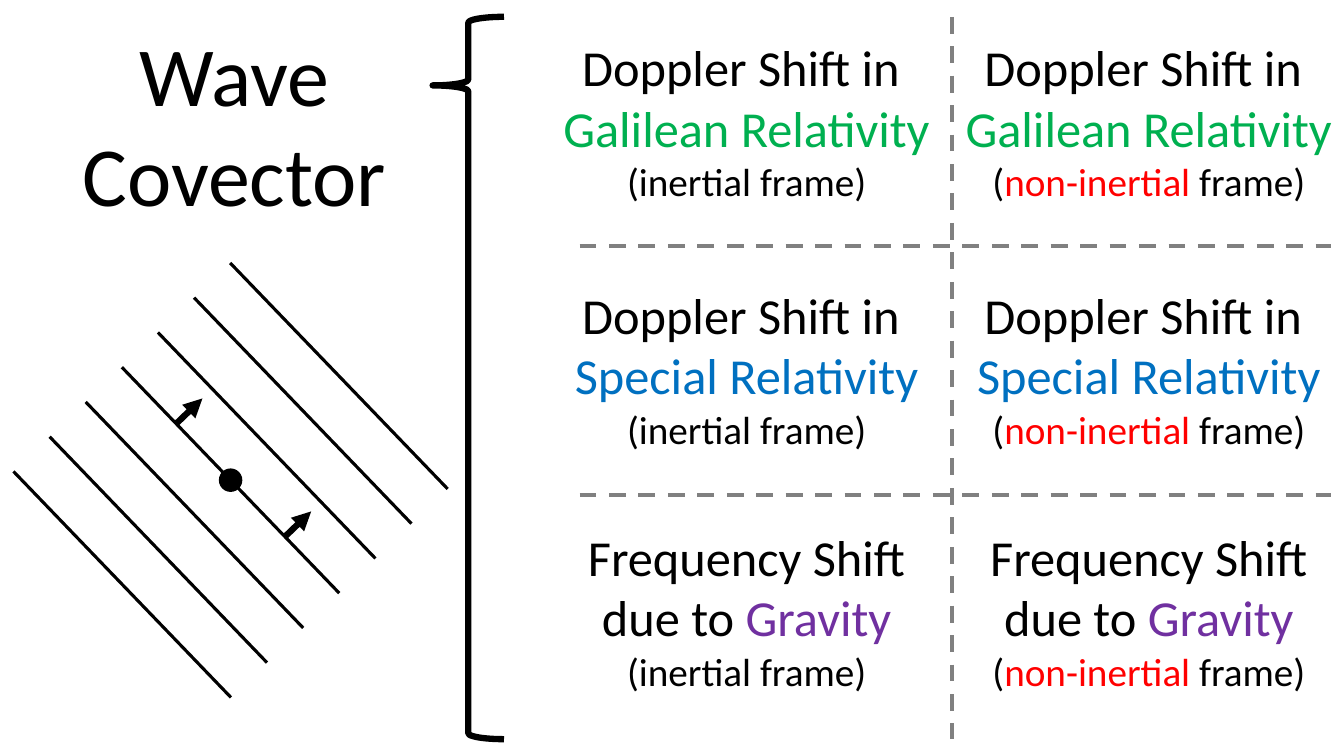
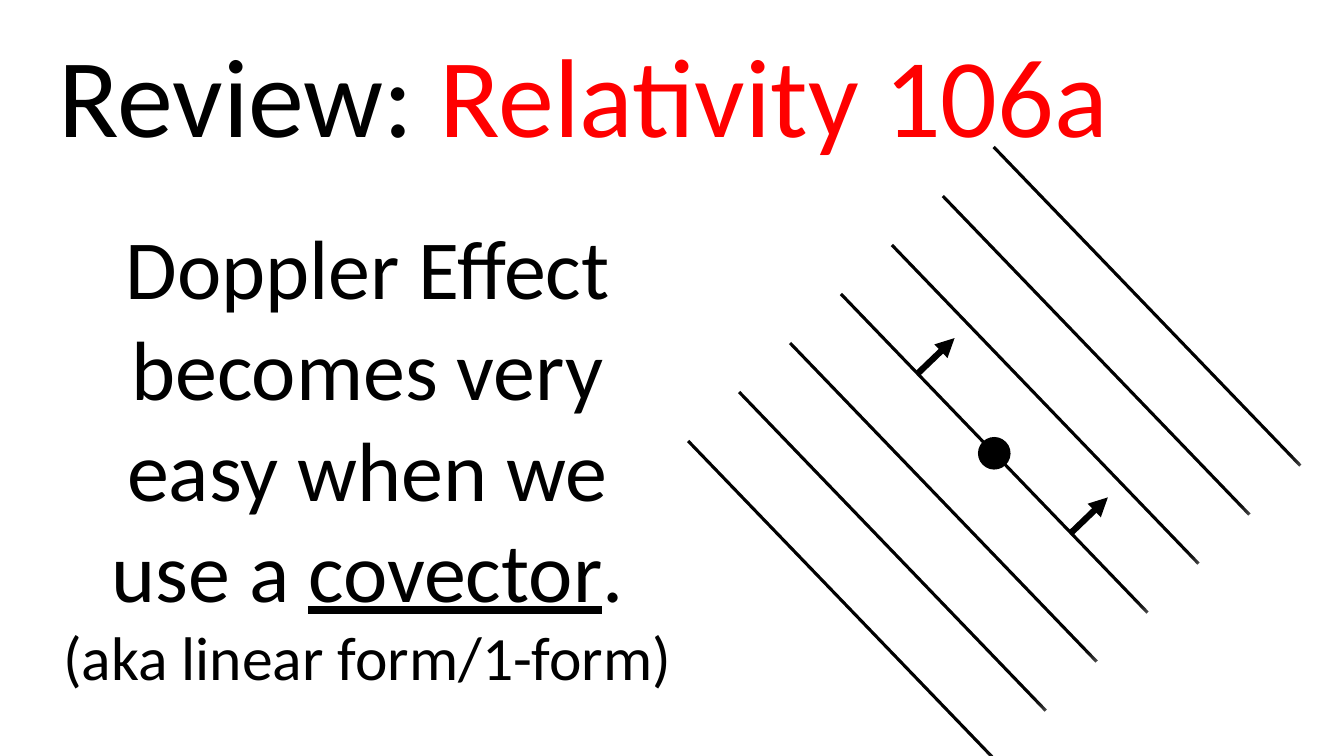
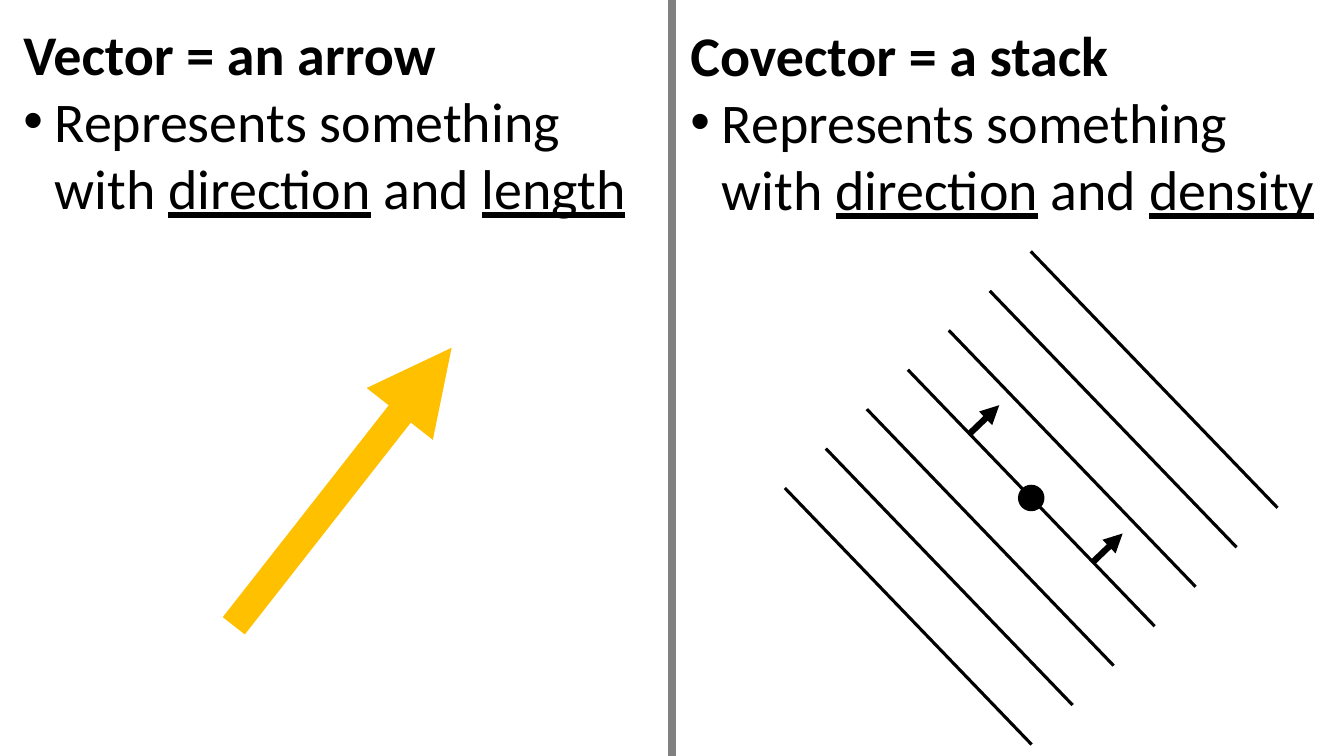
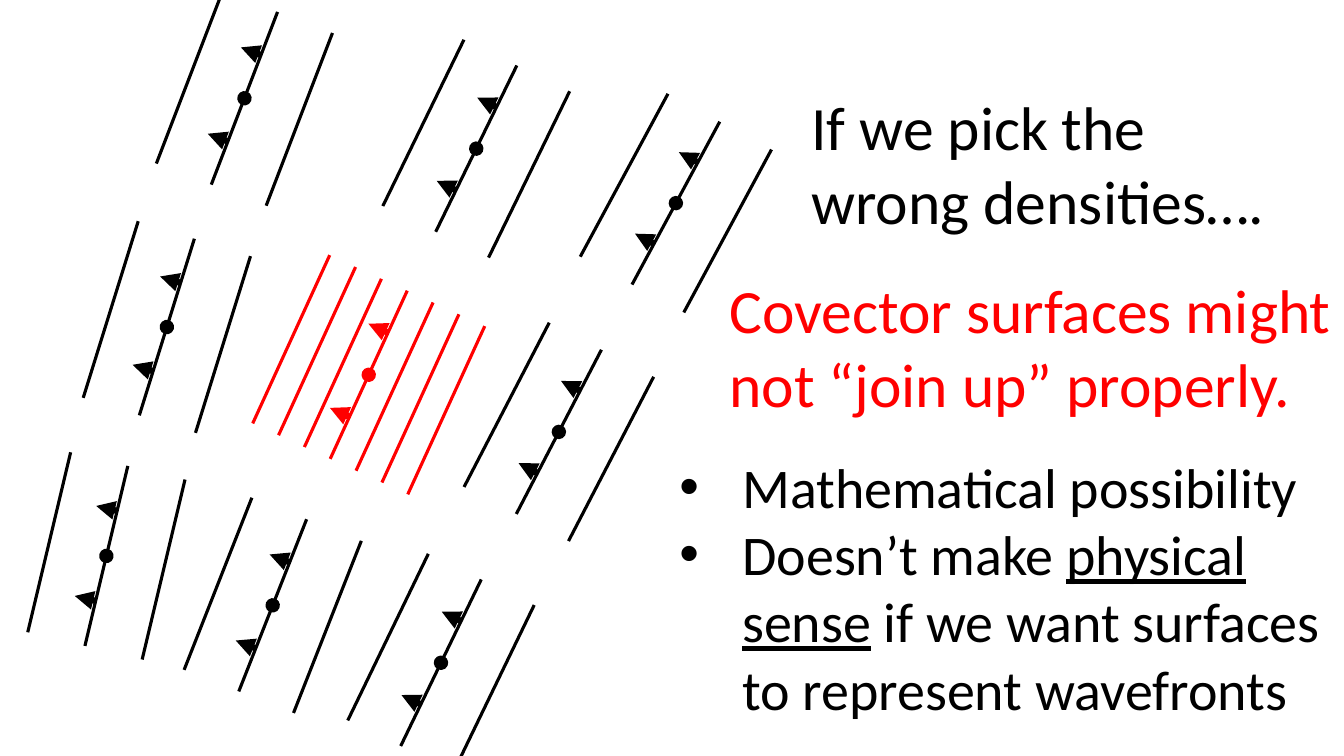
from collections import namedtuple
from math import cos, radians, sin

from lxml.etree import SubElement
from pptx import Presentation
from pptx.dml.color import RGBColor
from pptx.enum.dml import MSO_LINE
from pptx.enum.shapes import MSO_CONNECTOR as CONNECTOR, MSO_SHAPE as SHAPE
from pptx.enum.text import MSO_ANCHOR as ANCHOR, MSO_AUTO_SIZE as AUTO_SIZE, PP_ALIGN as ALIGN
from pptx.oxml.ns import qn
from pptx.util import Pt

# Shared look
FONT = "Calibri"
BLACK, WHITE, GREY = "000000", "FFFFFF", "808080"
RED, GREEN, BLUE, PURPLE, GOLD = "FF0000", "00B050", "0070C0", "7030A0", "FFC000"
WIDTH, HEIGHT = 960, 540

# Covector stack at scale 1
HALF_LENGTH, SPACING, DOT, ARROW = 112, 35.8, 15.8, 26
VEIL_WIDTH, VEIL_HEIGHT, VEIL_SHIFT, SOFT_EDGE = 116, 289.5, 7, 25
VEIL_OFFSETS = (-151.5, 144)

Run = namedtuple("Run", "text color underline bold", defaults=(BLACK, False, False))
Para = namedtuple("Para", "runs size indent", defaults=(0,))


def rgb(value):
    return RGBColor.from_string(value)


# Text
def set_bullet(paragraph, indent):
    props = paragraph._p.get_or_add_pPr()
    props.set("marL", str(Pt(indent)))
    props.set("indent", str(-Pt(indent)))
    if indent:
        SubElement(props, qn("a:buFont")).set("typeface", "Arial")
        SubElement(props, qn("a:buChar")).set("char", "•")
    else:
        SubElement(props, qn("a:buNone"))


def add_run(paragraph, run, size):
    for number, piece in enumerate(run.text.split("\n")):
        if number:
            paragraph.add_line_break()
        part = paragraph.add_run()
        part.text = piece
        font = part.font
        font.name, font.size = FONT, Pt(size)
        font.bold, font.underline = run.bold, run.underline
        font.color.rgb = rgb(run.color)


def write(holder, paras, align):
    frame = holder.text_frame
    frame.word_wrap = True
    frame.auto_size = AUTO_SIZE.NONE
    frame.vertical_anchor = ANCHOR.TOP
    for number, para in enumerate(paras):
        paragraph = frame.add_paragraph() if number else frame.paragraphs[0]
        set_bullet(paragraph, para.indent)
        paragraph.alignment = align
        paragraph.space_before = Pt(0)
        for run in para.runs:
            add_run(paragraph, run, para.size)


def add_text(slide, box, paras, align=ALIGN.LEFT):
    write(slide.shapes.add_textbox(*map(Pt, box)), paras, align)


def fill_placeholder(slide, index, box, paras, align=ALIGN.LEFT):
    """Place a template placeholder in front of what is drawn so far."""
    holder = next(p for p in slide.placeholders if p.placeholder_format.idx == index)
    holder.left, holder.top, holder.width, holder.height = map(Pt, box)
    slide.shapes._spTree.append(holder._element)
    write(holder, paras, align)


# Lines and shapes
def add_line(shapes, start, end, color, weight, dash=False, arrow=False):
    connector = shapes.add_connector(CONNECTOR.STRAIGHT, *map(Pt, (*start, *end)))
    line = connector.line
    line.color.rgb = rgb(color)
    line.width = Pt(weight)
    if dash:
        line.dash_style = MSO_LINE.DASH
    if arrow:
        SubElement(line._get_or_add_ln(), qn("a:tailEnd")).set("type", "triangle")
    SubElement(connector._element.spPr, qn("a:effectLst"))


def add_centred(shapes, kind, centre, width, height, tilt, color):
    x, y = centre
    shape = shapes.add_shape(kind, *map(Pt, (x - width / 2, y - height / 2, width, height)))
    shape.rotation = tilt
    shape.shadow.inherit = False
    shape.fill.solid()
    shape.fill.fore_color.rgb = rgb(color)
    shape.line.fill.background()
    return shape


def covector_stack(slide, centre, tilt, scale, spacing, count, color=BLACK, veiled=False):
    """Parallel lines around a dot; two arrows show the direction of the stack."""
    shapes = slide.shapes.add_group_shape().shapes
    angle = radians(tilt)

    def at(along, across):
        return (centre[0] + along * cos(angle) + across * sin(angle),
                centre[1] + along * sin(angle) - across * cos(angle))

    half = HALF_LENGTH * scale
    dot = add_centred(shapes, SHAPE.OVAL, centre, DOT * scale, DOT * scale, tilt, color)
    dot.line.color.rgb = rgb(color)
    dot.line.width = Pt(1)
    for number in range(count):
        across = (number - (count - 1) / 2) * spacing
        add_line(shapes, at(-half, across), at(half, across), color, 2.25)
    for along in (-half / 2, half / 2):
        add_line(shapes, at(along, 0), at(along, ARROW * scale), color, 4.5, arrow=True)
    # Soft white veils fade the line ends
    if veiled:
        for offset in VEIL_OFFSETS:
            veil = add_centred(shapes, SHAPE.RECTANGLE, at(offset * scale, VEIL_SHIFT * scale),
                               VEIL_WIDTH * scale, VEIL_HEIGHT * scale, tilt, WHITE)
            effects = veil._element.spPr.find(qn("a:effectLst"))
            SubElement(effects, qn("a:softEdge")).set("rad", str(Pt(SOFT_EDGE)))


def large_stack(slide, centre, scale):
    covector_stack(slide, centre, 46.1, scale, SPACING * scale, 7, veiled=True)


# Slide 1: the six cases
def case_grid(slide, left, pitch):
    topics = [
        (22.3, [[Run("Doppler Shift in ")], [Run("Galilean Relativity", GREEN)]]),
        (199.4, [[Run("Doppler Shift in ")], [Run("Special Relativity", BLUE)]]),
        (372.2, [[Run("Frequency Shift\ndue to "), Run("Gravity", PURPLE)]]),
    ]
    frames = [
        [Run("(inertial frame)")],
        [Run("("), Run("non-inertial", RED), Run(" frame)")],
    ]
    for column, frame in enumerate(frames):
        for top, heading in topics:
            paras = [Para(runs, 36) for runs in heading] + [Para(frame, 28)]
            add_text(slide, (left + column * pitch, top, 279, 128), paras, ALIGN.CENTER)
    # Dividers
    add_line(slide.shapes, (680, 12), (680, 528), GREY, 3, dash=True)
    for y in (175.7, 353.5):
        add_line(slide.shapes, (414, y), (950.4, y), GREY, 3, dash=True)


def overview_slide(prs):
    slide = prs.slides.add_slide(prs.slide_layouts[5])
    case_grid(slide, 393.8, 287.3)
    large_stack(slide, (164.7, 343), 1)
    fill_placeholder(slide, 0, (13.7, 12.2, 307.4, 152.6),
                     [Para([Run("Wave Covector")], 60)], ALIGN.CENTER)
    brace = slide.shapes.add_shape(SHAPE.LEFT_BRACE, *map(Pt, (309, 12, 51, 516)))
    brace.adjustments[0], brace.adjustments[1] = 0.083, 0.095
    brace.shadow.inherit = False
    brace.fill.background()
    brace.line.color.rgb = rgb(BLACK)
    brace.line.width = Pt(4.5)


# Slide 2: review
def review_slide(prs):
    slide = prs.slides.add_slide(prs.slide_layouts[1])
    large_stack(slide, (710.2, 323.8), 1.41)
    fill_placeholder(slide, 0, (34.6, 14.4, 890.6, 104.4),
                     [Para([Run("Review: "), Run("Relativity 106a", RED)], 80)])
    fill_placeholder(slide, 1, (34.6, 150.5, 455.8, 351.4), [
        Para([Run("Doppler Effect becomes very easy when we use a "),
              Run("covector", underline=True), Run(".")], 60),
        Para([Run("(aka linear form/1-form)")], 44),
    ], ALIGN.CENTER)


# Slide 3: vector beside covector
def definition(slide, index, box, heading, quantity):
    fill_placeholder(slide, index, box, [
        Para([Run(heading, bold=True)], 40),
        Para([Run("Represents something \nwith "), Run("direction", underline=True),
              Run(" and "), Run(quantity, underline=True)], 40, 22.5),
    ])


def comparison_slide(prs):
    slide = prs.slides.add_slide(prs.slide_layouts[3])
    title = slide.shapes.title._element
    title.getparent().remove(title)
    large_stack(slide, (736.6, 355.7), 1.135)
    add_line(slide.shapes, (167, 447), (322.6, 248.4), GOLD, 20, arrow=True)
    definition(slide, 1, (9.4, 10, 456, 152.6), "Vector = an arrow", "length")
    definition(slide, 2, (486, 10.8, 468, 152.6), "Covector = a stack", "density")
    add_line(slide.shapes, (WIDTH / 2, 0), (WIDTH / 2, HEIGHT), GREY, 6)


# Slide 4: field of covectors
def covector_field(slide):
    matching = [
        (482.8, 145.1, 298.3), (399.2, 308.5, 297.4), (315, 473.4, 295.8),
        (340.2, 106.2, 296), (194.8, 432.4, 291.5), (174.6, 70.2, 291),
        (119.2, 233.6, 287.3), (76, 397.1, 283.4),
    ]
    for x, y, tilt in matching:
        covector_stack(slide, (x, y), tilt, 0.59, 42, 3)
    covector_stack(slide, (263.4, 267.7), 294.6, 0.59, 20.3, 7, RED)


def density_slide(prs):
    slide = prs.slides.add_slide(prs.slide_layouts[1])
    covector_field(slide)
    add_text(slide, (514, 190.8, 446.4, 113.8),
             [Para([Run("Covector surfaces might not “join up” properly.", RED)], 44)])
    fill_placeholder(slide, 1, (478, 319.7, 477.4, 200.9), [
        Para([Run("Mathematical possibility")], 40, 45),
        Para([Run("Doesn’t make "), Run("physical sense", underline=True),
              Run(" if we want surfaces to represent wavefronts")], 40, 45),
    ])
    fill_placeholder(slide, 0, (572.4, 59.8, 370, 113.8),
                     [Para([Run("If we pick the wrong densities….")], 44)])


def main():
    prs = Presentation()
    prs.slide_width, prs.slide_height = Pt(WIDTH), Pt(HEIGHT)
    for build in (overview_slide, review_slide, comparison_slide, density_slide):
        build(prs)
    prs.save("out.pptx")


if __name__ == "__main__":
    main()
